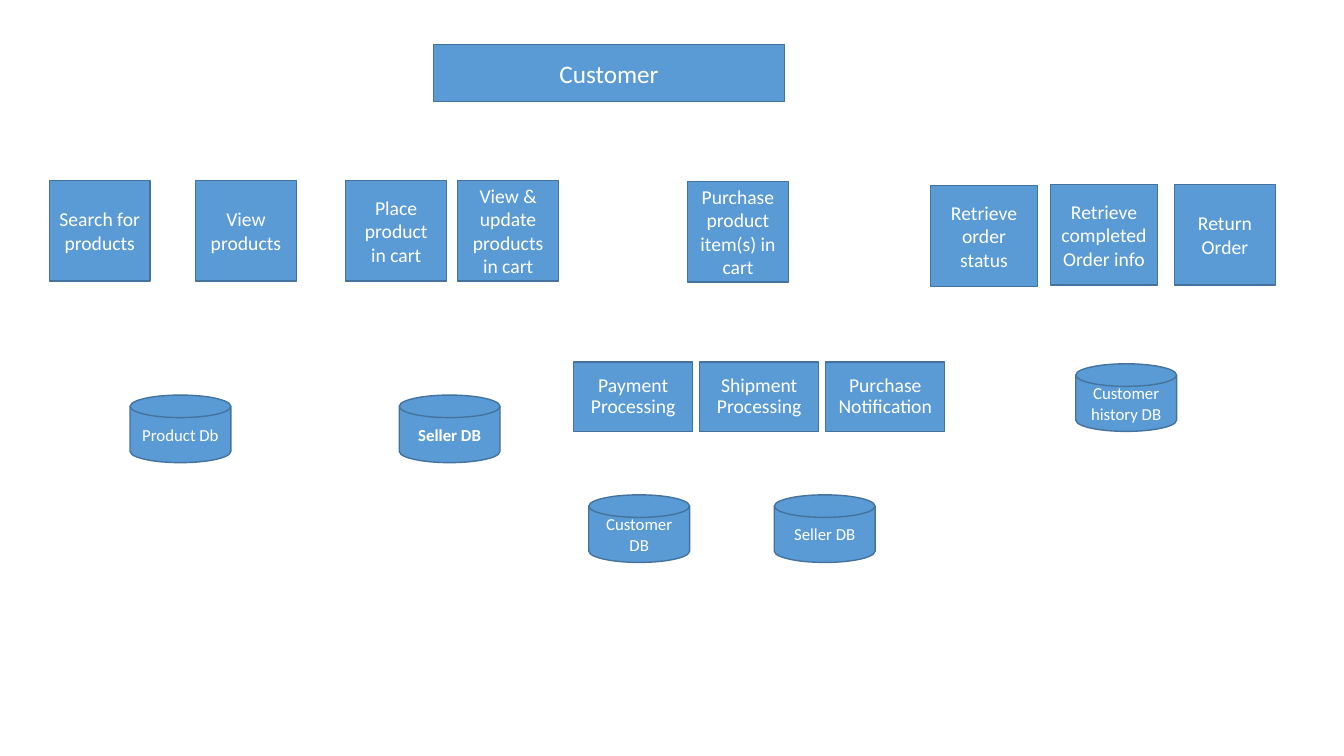
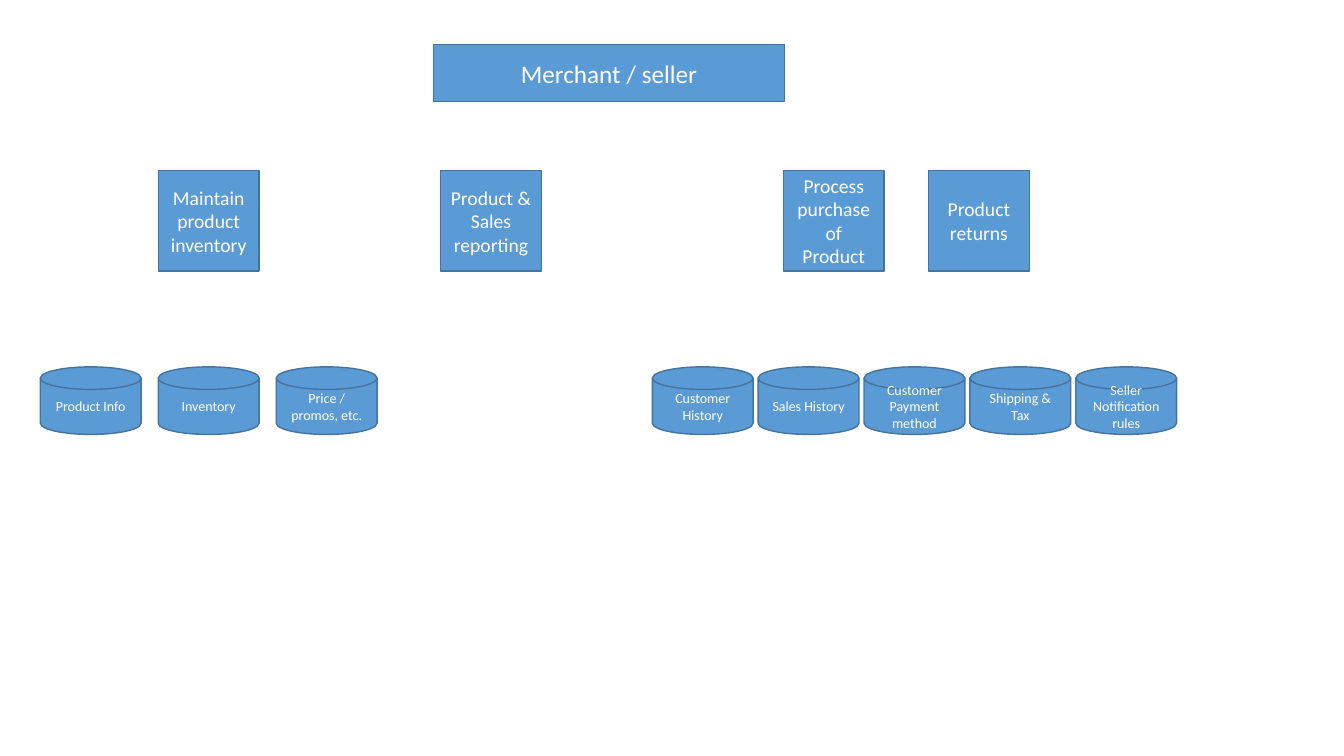
from dataclasses import dataclass, replace

from lxml import etree
from pptx import Presentation
from pptx.dml.color import RGBColor
from pptx.enum import shapes, text
from pptx.oxml import ns
from pptx.util import Inches, Pt

FILL = "5B9BD5"
OUTLINE = "43739E"
WHITE = "FFFFFF"
FONT = "Calibri"
TITLE_ONLY = 5


@dataclass(frozen=True)
class Style:
    kind: shapes.MSO_SHAPE
    width: float
    height: float
    size: int
    bold: bool = False
    line_spacing: float = 1.0
    space_before: int = 0


@dataclass(frozen=True)
class Row:
    style: Style
    left: float
    top: float
    labels: tuple[str, ...]
    step: float = 0


TITLE = Style(shapes.MSO_SHAPE.ROUNDED_RECTANGLE, 3.48, 0.57, 18)
ACTION = Style(shapes.MSO_SHAPE.RECTANGLE, 1, 1, 14)
WIDE_ACTION = replace(ACTION, width=1.06)
PROCESS = replace(ACTION, width=1.18, height=0.69, line_spacing=0.9, space_before=10)
DATABASE = Style(shapes.MSO_SHAPE.FLOWCHART_MAGNETIC_DISK, 1, 0.67, 12)
BOLD_DATABASE = replace(DATABASE, bold=True)
SMALL_DATABASE = replace(DATABASE, size=10)

CUSTOMER_ROWS = (
    Row(ACTION, 0.49, 1.79, ("Search for products", "View products"), 1.45),
    Row(ACTION, 3.43, 1.79, ("Place product in cart", "View & update products in cart"), 1.11),
    Row(ACTION, 6.82, 1.8, ("Purchase product item(s) in cart",)),
    Row(WIDE_ACTION, 9.23, 1.84, ("Retrieve order status",)),
    Row(WIDE_ACTION, 10.42, 1.83, ("Retrieve completed Order info",)),
    Row(ACTION, 11.65, 1.83, ("Return Order",)),
    Row(PROCESS, 5.69, 3.59,
        ("Payment Processing", "Shipment Processing", "Purchase Notification"), 1.25),
    Row(DATABASE, 1.29, 3.92, ("Product Db",)),
    Row(BOLD_DATABASE, 3.96, 3.92, ("Seller DB",)),
    Row(DATABASE, 10.67, 3.61, ("Customer history DB",)),
    Row(DATABASE, 5.84, 4.91, ("Customer DB", "Seller DB"), 1.84),
)

SELLER_ROWS = (
    Row(ACTION, 1.57, 1.69, ("Maintain product inventory",)),
    Row(ACTION, 4.37, 1.69, ("Product & Sales reporting",)),
    Row(ACTION, 7.77, 1.69, ("Process purchase of Product", "Product returns"), 1.44),
    Row(SMALL_DATABASE, 0.4, 3.64, ("Product Info", "Inventory", "Price / promos, etc."), 1.17),
    Row(SMALL_DATABASE, 6.47, 3.64,
        ("Customer History", "Sales History", "Customer Payment method",
         "Shipping & Tax", "Seller Notification rules"), 1.05),
)


def rgb(value: str) -> RGBColor:
    return RGBColor.from_string(value)


def format_node(sp, style: Style, label: str) -> None:
    sp.fill.solid()
    sp.fill.fore_color.rgb = rgb(FILL)
    sp.line.color.rgb = rgb(OUTLINE)
    sp.line.width = Pt(1)
    tf = sp.text_frame
    tf.text = label
    tf.word_wrap = True
    tf.auto_size = text.MSO_AUTO_SIZE.NONE
    tf.vertical_anchor = text.MSO_ANCHOR.MIDDLE
    p = tf.paragraphs[0]
    p.alignment = text.PP_ALIGN.CENTER
    p.line_spacing = style.line_spacing
    p.space_before = Pt(style.space_before)
    for r in p.runs:
        r.font.name = FONT
        r.font.size = Pt(style.size)
        r.font.bold = style.bold
        r.font.color.rgb = rgb(WHITE)


def add_title(s, label: str) -> None:
    sp = s.shapes.title
    sp.left, sp.top = Inches(4.3), Inches(0.44)
    sp.width, sp.height = Inches(TITLE.width), Inches(TITLE.height)
    geometry = etree.SubElement(sp.element.spPr, ns.qn("a:prstGeom"), prst="roundRect")
    etree.SubElement(geometry, ns.qn("a:avLst"))
    format_node(sp, TITLE, label)


def add_row(s, row: Row) -> None:
    style = row.style
    for i, label in enumerate(row.labels):
        sp = s.shapes.add_shape(
            style.kind, Inches(row.left + i * row.step), Inches(row.top),
            Inches(style.width), Inches(style.height))
        sp.shadow.inherit = False
        format_node(sp, style, label)


def add_diagram(prs, title: str, rows: tuple[Row, ...]) -> None:
    s = prs.slides.add_slide(prs.slide_layouts[TITLE_ONLY])
    add_title(s, title)
    for row in rows:
        add_row(s, row)


def main() -> None:
    prs = Presentation()
    prs.slide_width, prs.slide_height = Inches(13.33), Inches(7.5)
    add_diagram(prs, "Customer", CUSTOMER_ROWS)
    add_diagram(prs, "Merchant / seller", SELLER_ROWS)
    prs.save("out.pptx")


if __name__ == "__main__":
    main()
